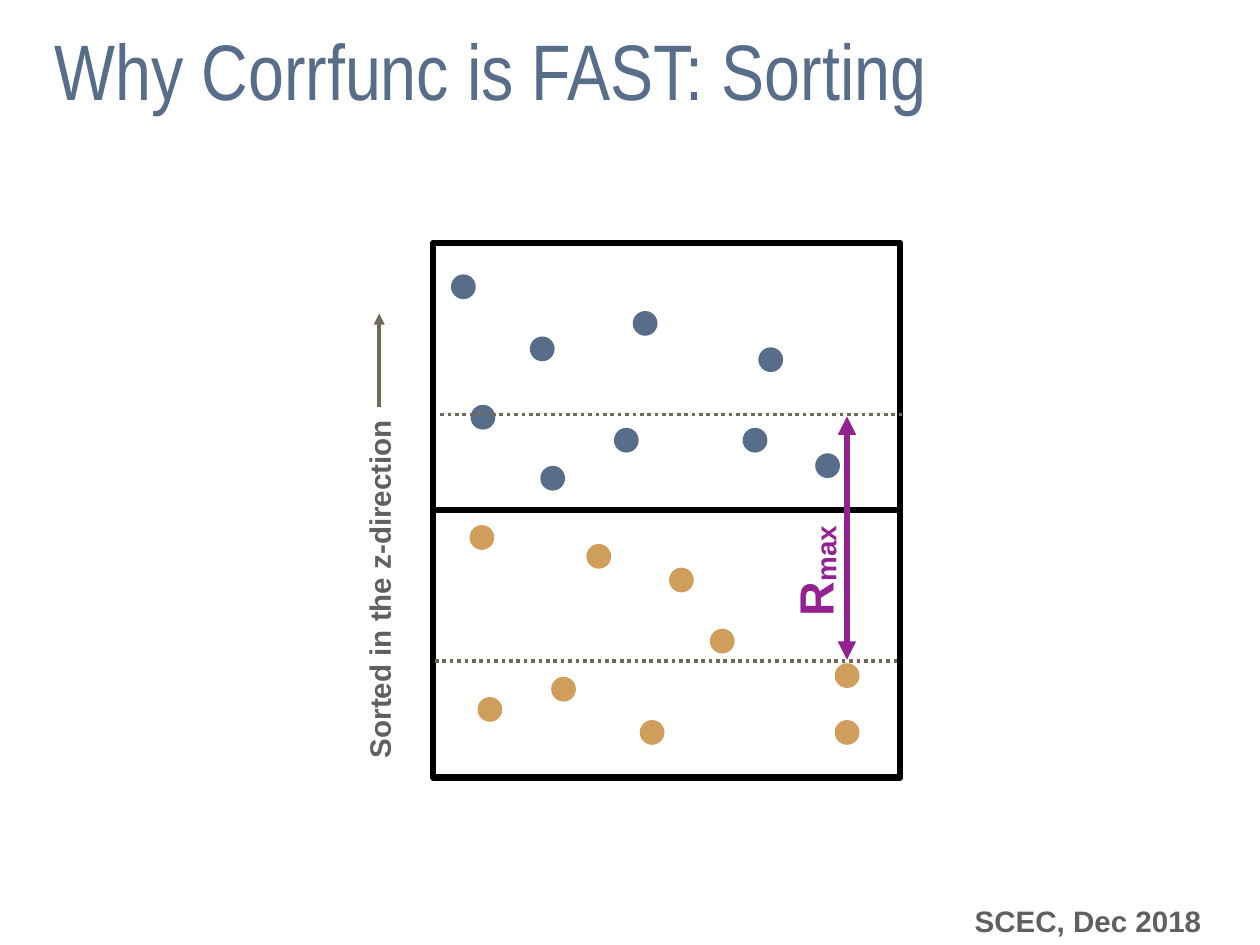
from dataclasses import dataclass

import pptx
import pptx.dml.color
import pptx.enum.dml
import pptx.enum.shapes
import pptx.enum.text
import pptx.oxml.ns
import pptx.util
from lxml import etree

Cm, Pt = pptx.util.Cm, pptx.util.Pt
COLORS = {
    "black": "000000",
    "slate": "576D8A",
    "gold": "CF9E5B",
    "purple": "942192",
    "olive": "6F6A5A",
    "gray": "606060",
}
DOT = 0.71
BOX_LEFT, BOX_TOP, BOX_WIDTH, BOX_HEIGHT = 12.42, 6.96, 13.39, 7.67


@dataclass
class Label:
    runs: list[str]
    left: float
    top: float
    width: float
    height: float
    size: int
    color: str
    font: str = "Arial"
    bold: bool = True
    rotation: int = 0


@dataclass
class Line:
    x1: float
    y1: float
    x2: float
    y2: float
    color: str
    width: int
    dotted: bool = False
    ends: tuple[str, ...] = ()


# Left and top of each particle, by colour
PARTICLES = {
    "slate": [(17.6, 12.27), (18.14, 8.92), (15.19, 9.65), (15.49, 13.36), (23.37, 13),
              (21.29, 12.27), (13.49, 11.61), (21.74, 9.96), (12.93, 7.87)],
    "gold": [(19.18, 16.28), (20.35, 18.03), (18.34, 20.65), (13.69, 19.99), (15.8, 19.41),
             (13.46, 15.06), (23.93, 20.65), (16.81, 15.6), (23.93, 19.02)],
}
FOOTER = Label(["SCEC, Dec 2018"], 27.76, 25.78, 6.86, 1.27, 24, "gray")
TITLE = Label(["Why Corrfunc is FAST: Sorting"], 1.42, -0.48, 33.3, 5.28, 64, "slate",
              "Arial Narrow", False)
R_MAX = Label(["R", "max"], 21.77, 15.42, 3.15, 1.91, 39, "purple", rotation=270)
SORTED = Label(["Sorted in the z-direction"], 5.84, 16.26, 10.06, 1.27, 24, "gray", rotation=270)
ARROWS = [
    Line(24.28, 18.92, 24.28, 11.94, "purple", 5, ends=("headEnd", "tailEnd")),
    Line(10.87, 11.68, 10.87, 8.99, "olive", 3, ends=("tailEnd",)),
]
LIMITS = [
    Line(12.47, 18.95, 25.73, 18.95, "olive", 3, dotted=True),
    Line(12.62, 11.89, 25.88, 11.89, "olive", 3, dotted=True),
]


def rgb(name: str) -> pptx.dml.color.RGBColor:
    return pptx.dml.color.RGBColor.from_string(COLORS[name])


def add_label(s, label: Label):
    tb = s.shapes.add_textbox(Cm(label.left), Cm(label.top), Cm(label.width), Cm(label.height))
    tb.rotation = label.rotation
    tf = tb.text_frame
    tf.word_wrap = False
    tf.vertical_anchor = pptx.enum.text.MSO_ANCHOR.MIDDLE
    tf.margin_left = tf.margin_right = tf.margin_top = tf.margin_bottom = Cm(0.15)
    p = tf.paragraphs[0]
    p.alignment = pptx.enum.text.PP_ALIGN.CENTER
    p.font.name, p.font.size, p.font.bold = label.font, Pt(label.size), label.bold
    p.font.color.rgb = rgb(label.color)
    for text in label.runs:
        p.add_run().text = text
    return tb


def add_shape(s, kind, left: float, top: float, width: float, height: float):
    sp = s.shapes.add_shape(kind, Cm(left), Cm(top), Cm(width), Cm(height))
    sp.shadow.inherit = False
    return sp


def add_line(s, line: Line) -> None:
    c = s.shapes.add_connector(pptx.enum.shapes.MSO_CONNECTOR.STRAIGHT,
                               Cm(line.x1), Cm(line.y1), Cm(line.x2), Cm(line.y2))
    c.line.color.rgb = rgb(line.color)
    c.line.width = Pt(line.width)
    if line.dotted:
        c.line.dash_style = pptx.enum.dml.MSO_LINE.ROUND_DOT
    ln = c.line._get_or_add_ln()
    for end in line.ends:
        etree.SubElement(ln, pptx.oxml.ns.qn(f"a:{end}"), type="triangle")
    etree.SubElement(c._element.spPr, pptx.oxml.ns.qn("a:effectLst"))


def main() -> None:
    prs = pptx.Presentation()
    prs.slide_width, prs.slide_height = Cm(36.12), Cm(27.1)
    s = prs.slides.add_slide(prs.slide_layouts[6])

    # Footer and title
    add_label(s, FOOTER)
    tf = add_label(s, TITLE).text_frame
    tf.word_wrap = True
    tf.paragraphs[0].alignment = pptx.enum.text.PP_ALIGN.LEFT
    tf.paragraphs[0].line_spacing = 0.9

    # Two stacked cells
    for row in range(2):
        sp = add_shape(s, pptx.enum.shapes.MSO_SHAPE.RECTANGLE,
                       BOX_LEFT, BOX_TOP + row * BOX_HEIGHT, BOX_WIDTH, BOX_HEIGHT)
        sp.fill.background()
        sp.line.color.rgb = rgb("black")
        sp.line.width = Pt(5)

    # Particles
    for color, places in PARTICLES.items():
        for left, top in places:
            sp = add_shape(s, pptx.enum.shapes.MSO_SHAPE.OVAL, left, top, DOT, DOT)
            sp.fill.solid()
            sp.fill.fore_color.rgb = rgb(color)
            sp.line.fill.background()

    # Arrows, their labels and the dotted limits
    for arrow in ARROWS:
        add_line(s, arrow)
    r = add_label(s, R_MAX).text_frame.paragraphs[0].runs[1]
    r.font._element.set("baseline", "-6000")
    add_label(s, SORTED)
    for limit in LIMITS:
        add_line(s, limit)

    prs.save("out.pptx")


if __name__ == "__main__":
    main()
